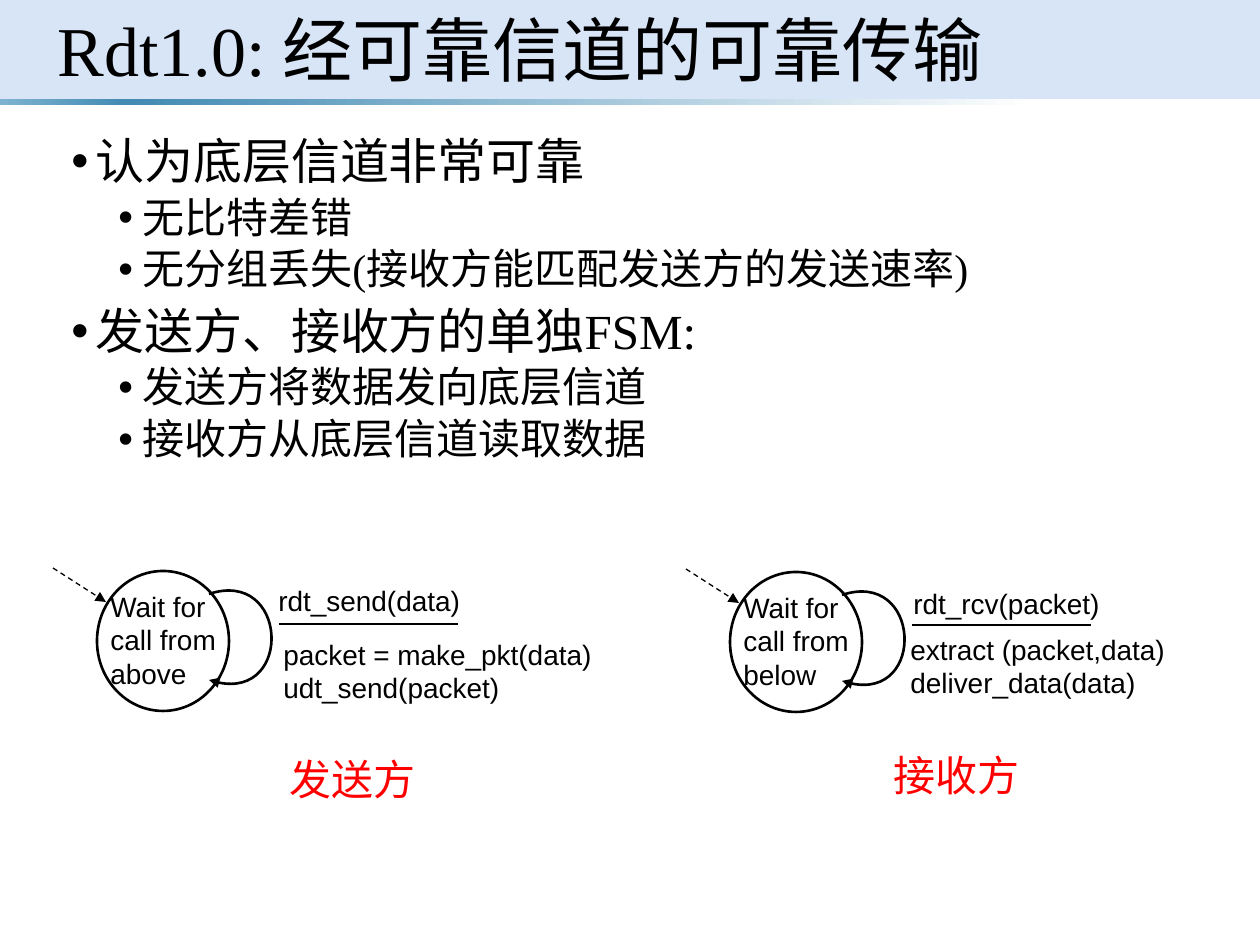
import pptx
import pptx.util
import pptx.oxml
import pptx.oxml.ns
import pptx.dml.color
import pptx.enum.shapes
import pptx.enum.dml
import pptx.enum.text
import lxml.etree

RGB = pptx.dml.color.RGBColor
BLACK = RGB(0, 0, 0)
WHITE = RGB(255, 255, 255)
RED = RGB(255, 0, 0)
BAND = RGB(0xC8, 0xDA, 0xF4)
STOPS = [(0, RGB(0x7E, 0xB3, 0xD0)), (10, RGB(0x41, 0x8A, 0xB3)),
         (82, WHITE), (96, WHITE)]
SHAPE = pptx.enum.shapes.MSO_SHAPE
CODE = {"name": "Arial", "size": pptx.util.Pt(16)}
LABEL = {"name": "Comic Neue", "size": pptx.util.Pt(24), "color": RED}
TITLE = {"name": "Times New Roman", "size": pptx.util.Pt(40)}
LEVELS = [
    {"size": 28, "left": 24, "before": 7.5},
    {"size": 24, "left": 71, "before": 3.75},
]
POINTS = [
    (0, "认为底层信道非常可靠"),
    (1, "无比特差错"),
    (1, "无分组丢失(接收方能匹配发送方的发送速率)"),
    (0, "发送方、接收方的单独FSM:"),
    (1, "发送方将数据发向底层信道"),
    (1, "接收方从底层信道读取数据"),
]
SENDER = {
    "state": "Wait for call from above",
    "event": ("rdt_send(data)", 213, 9),
    "acts": ("packet = make_pkt(data)\nudt_send(packet)", 218, 63),
    "role": ("发送方", 224, 179),
}
RECEIVER = {
    "state": "Wait for call from below",
    "event": ("rdt_rcv(packet)", 215, 11),
    "acts": ("extract (packet,data)\ndeliver_data(data)", 212, 57),
    "role": ("接收方", 195, 174),
}


def px(num):
    """Turn px into EMU."""
    return pptx.util.Emu(round(num * 914400 / 126))


def box(*nums):
    """Turn a row of px into EMU."""
    return [px(num) for num in nums]


def sub(node, tag, **vals):
    """Add a drawing element under a node."""
    return lxml.etree.SubElement(node, pptx.oxml.ns.qn("a:" + tag), **vals)


def style(font, form):
    """Set font attributes from a dict."""
    form = {"color": BLACK, **form}
    font.color.rgb = form.pop("color")
    for key, val in form.items():
        setattr(font, key, val)


def write(slide, text, form, *area):
    """Place a wrapped text box."""
    frame = slide.shapes.add_textbox(*box(*area)).text_frame
    frame.word_wrap = True
    frame.text = text
    for para in frame.paragraphs:
        style(para.runs[0].font, form)


def draw(slide, kind, *area):
    """Place a preset shape with no shadow or line."""
    shape = slide.shapes.add_shape(kind, *box(*area))
    shape.shadow.inherit = False
    shape.line.fill.background()
    return shape


def ink(shape, width=1.5, arrow=False):
    """Give an outline its colour, width and arrowhead."""
    shape.line.color.rgb = BLACK
    shape.line.width = pptx.util.Pt(width)
    if arrow:
        sub(shape.line._get_or_add_ln(), "tailEnd", type="triangle")


def join(slide, ends, width=1.5, dash=False):
    """Draw a straight line, dashed with an arrowhead if asked."""
    line = slide.shapes.add_connector(
        pptx.enum.shapes.MSO_CONNECTOR.STRAIGHT, *box(*ends))
    if dash:
        line.line.dash_style = pptx.enum.dml.MSO_LINE.DASH
    ink(line, width, dash)
    sub(line._element.spPr, "effectLst")


def loop(slide, left, top):
    """Draw the curved arrow that returns to its state."""
    knots = [(0, 0), (79, -26), (85, 115), (0, 86)]
    start, *rest = [tuple(box(left + x, top + y)) for x, y in knots]
    pen = slide.shapes.build_freeform(*start)
    pen.add_line_segments(rest, close=False)
    arc = pen.convert_to_shape()
    arc.shadow.inherit = False
    arc.fill.background()
    ink(arc, arrow=True)
    steps = arc._element.findall(".//" + pptx.oxml.ns.qn("a:lnTo"))
    curve = sub(steps[0].getparent(), "cubicBezTo")
    for step in steps:
        curve.append(step[0])
        step.getparent().remove(step)


def header(slide, text, width, height):
    """Draw the title band, the fading rule and the title."""
    band = draw(slide, SHAPE.RECTANGLE, 0, 0, width, height)
    band.fill.solid()
    band.fill.fore_color.rgb = BAND
    hue = band._element.find(".//" + pptx.oxml.ns.qn("a:srgbClr"))
    sub(hue, "alpha", val="70000")
    rule = draw(slide, SHAPE.RECTANGLE, 0, height, width, 6)
    rule.fill.gradient()
    rule.fill.gradient_angle = 0
    stops = rule._element.find(".//" + pptx.oxml.ns.qn("a:gsLst"))
    for stop in list(stops):
        stops.remove(stop)
    for place, tint in STOPS:
        stop = sub(stops, "gs", pos=str(place * 1000))
        sub(stop, "srgbClr", val=str(tint))
    title = slide.shapes.title
    title.left, title.top, title.width, title.height = box(45, 0, 1171, 107)
    slide.shapes._spTree.append(title._element)
    frame = title.text_frame
    frame.text = text
    frame.vertical_anchor = pptx.enum.text.MSO_ANCHOR.MIDDLE
    frame.auto_size = pptx.enum.text.MSO_AUTO_SIZE.NONE
    para = frame.paragraphs[0]
    para.alignment = pptx.enum.text.PP_ALIGN.LEFT
    para.line_spacing = 0.9
    style(para.runs[0].font, TITLE)


def bullets(slide, items, *area):
    """Write the bulleted points on two levels."""
    frame = slide.shapes.add_textbox(*box(*area)).text_frame
    frame.word_wrap = True
    for num, (depth, text) in enumerate(items):
        look = LEVELS[depth]
        para = frame.add_paragraph() if num else frame.paragraphs[0]
        para.level = depth
        para.line_spacing = 0.9
        if num:
            para.space_before = pptx.util.Pt(look["before"])
        props = para._p.get_or_add_pPr()
        props.set("marL", str(px(look["left"])))
        props.set("indent", str(px(-24)))
        sub(props, "buFont", typeface="Arial")
        sub(props, "buChar", char="•")
        run = para.add_run()
        run.text = text
        style(run.font, {"name": "Times New Roman",
                         "size": pptx.util.Pt(look["size"])})


def machine(slide, data, left, top):
    """Draw one state machine from its top left corner."""
    state = draw(slide, SHAPE.OVAL, left + 44, top + 3, 132, 140)
    state.fill.solid()
    state.fill.fore_color.rgb = WHITE
    ink(state)
    write(slide, data["state"], CODE, left + 45, top + 15, 151, 126)
    loop(slide, left + 156, top + 26)
    join(slide, (left + 226, top + 56, left + 405, top + 56))
    join(slide, (left, top, left + 53, top + 34), 0.75, True)
    for key, form, width, height in (("event", CODE, 311, 50),
                                     ("acts", CODE, 350, 82),
                                     ("role", LABEL, 160, 63)):
        text, x, y = data[key]
        write(slide, text, form, left + x, top + y, width, height)


def main():
    """Build and save the slide."""
    deck = pptx.Presentation()
    deck.slide_width, deck.slide_height = box(1260, 945)
    slide = deck.slides.add_slide(deck.slide_layouts[5])
    header(slide, "Rdt1.0: 经可靠信道的可靠传输", 1260, 99)
    bullets(slide, POINTS, 59, 131, 1089, 374)
    machine(slide, SENDER, 53, 568)
    machine(slide, RECEIVER, 686, 569)
    deck.save("out.pptx")


if __name__ == "__main__":
    main()
